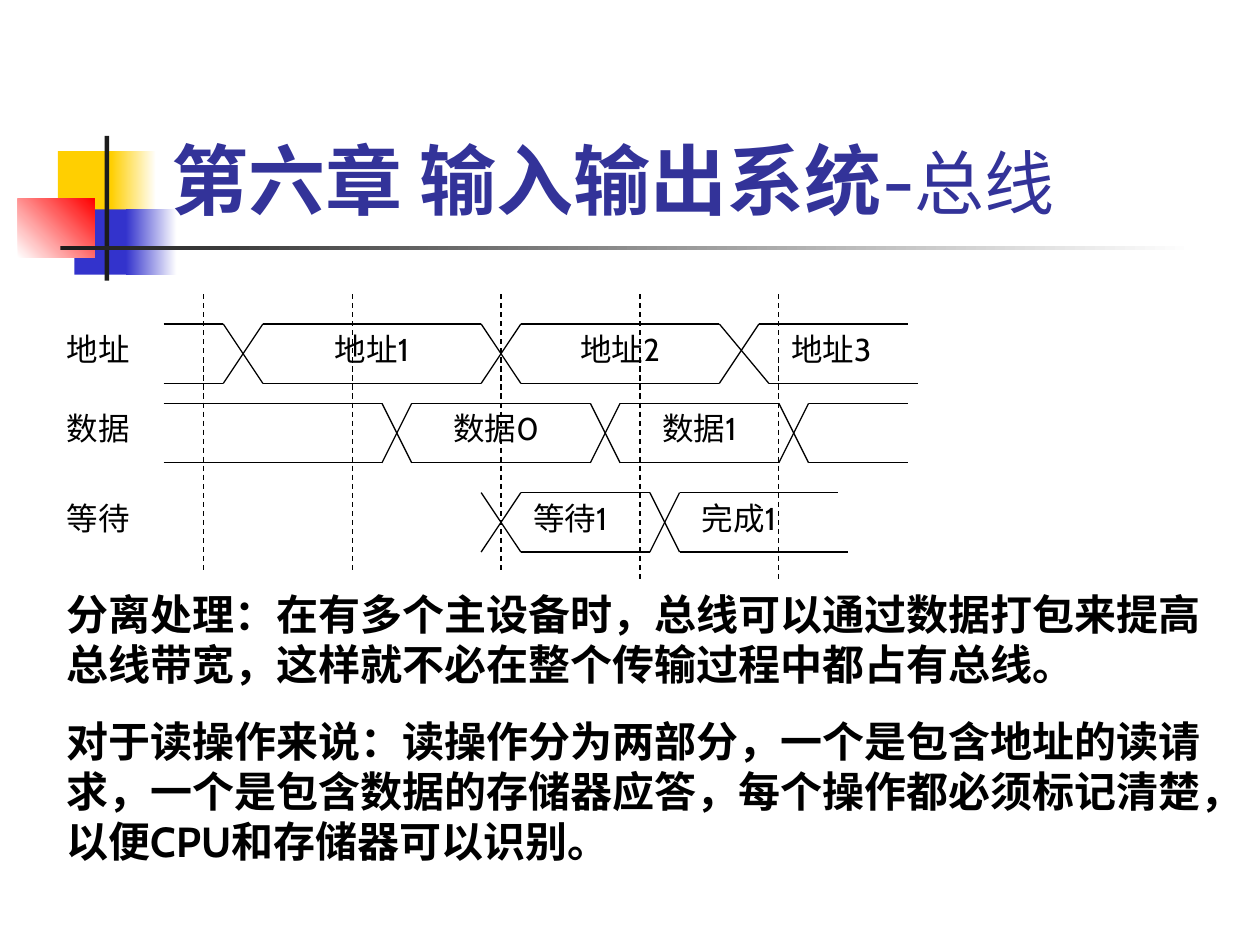
from dataclasses import dataclass

from lxml.etree import SubElement
from pptx import Presentation
from pptx.dml.color import RGBColor
from pptx.enum.dml import MSO_LINE_DASH_STYLE as Dash
from pptx.enum.shapes import MSO_CONNECTOR as Connector
from pptx.enum.shapes import MSO_SHAPE as Preset
from pptx.enum.text import MSO_ANCHOR as Anchor
from pptx.enum.text import MSO_AUTO_SIZE as AutoSize
from pptx.enum.text import PP_ALIGN as Align
from pptx.oxml.ns import qn
from pptx.util import Cm, Pt

FONT = "Cabin"
BLACK, WHITE, DARK = "000000", "FFFFFF", "1C1C1C"
YELLOW, BLUE, RED, TITLE_BLUE = "FFCF01", "3333CC", "FF0000", "333399"
SIGNAL_HEIGHT = 1.2
LABEL_HEIGHT = 1.02
NAME_LEFT = 1.1


@dataclass
class Block:
    left: float
    top: float
    width: float
    height: float
    color: str
    end_color: str = ""
    angle: int = 0


@dataclass
class Crossing:
    """Where both levels of a signal swap; the low level may settle later."""
    start: float
    end_high: float
    end_low: float


@dataclass
class Label:
    text: str
    left: float
    width: float
    align: Align = Align.LEFT


@dataclass
class Signal:
    top: float
    left: float
    crossings: list[Crossing]
    right_high: float
    right_low: float
    labels: list[Label]


BLOCKS = [
    Block(1.17, 3.05, 1.22, 1.32, YELLOW),
    Block(2.24, 3.05, 0.91, 1.32, YELLOW, WHITE),
    Block(1.5, 4.22, 1.17, 1.32, BLUE),
    Block(2.54, 4.22, 1.02, 1.32, BLUE, WHITE),
    Block(0.36, 4.01, 1.55, 1.18, WHITE, RED, 45),
    Block(2.11, 2.74, 0.09, 2.92, DARK),
    Block(1.22, 4.95, 22.86, 0.09, DARK, WHITE),
]

SIGNALS = [
    Signal(6.53, 3.3,
           [Crossing(4.5, 5.3, 5.3), Crossing(9.7, 10.5, 10.5), Crossing(14.5, 15.3, 15.5)],
           18.3, 18.5,
           [Label("地址", NAME_LEFT, 2.4), Label("地址1", 5.3, 4.4, Align.CENTER),
            Label("地址2", 10.7, 3.6, Align.CENTER), Label("地址3", 15.7, 2.6)]),
    Signal(8.13, 3.3,
           [Crossing(7.7, 8.3, 8.3), Crossing(11.9, 12.5, 12.5), Crossing(15.7, 16.3, 16.3)],
           18.3, 18.3,
           [Label("数据", NAME_LEFT, 2.4), Label("数据0", 8.5, 3, Align.CENTER),
            Label("数据1", 12.7, 2.8, Align.CENTER)]),
    Signal(9.93, 9.7,
           [Crossing(9.7, 10.5, 10.5), Crossing(13.1, 13.7, 13.7)],
           16.9, 17.1,
           [Label("等待", NAME_LEFT, 2.2), Label("等待1", 10.5, 2.6),
            Label("完成1", 13.9, 2.8)]),
]

CLOCK_TOP = 5.93
CLOCK_LINES = [(4.1, 11.53), (7.1, 11.53), (10.1, 11.53), (12.9, 11.73), (15.7, 11.73)]

EXPLANATION = [
    "分离处理：在有多个主设备时，总线可以通过数据打包来提高总线带宽，这样就不必在整个传输过程中都占有总线。",
    "对于读操作来说：读操作分为两部分，一个是包含地址的读请求，一个是包含数据的存储器应答，"
    "每个操作都必须标记清楚，以便CPU和存储器可以识别。",
]


def rgb(color: str) -> RGBColor:
    return RGBColor.from_string(color)


def style_paragraph(paragraph, size: int, color: str, align: Align, bold: bool = False) -> None:
    paragraph.alignment = align
    font = paragraph.font
    font.name, font.size, font.bold = FONT, Pt(size), bold
    font.color.rgb = rgb(color)
    defaults = paragraph._p.pPr.find(qn("a:defRPr"))
    SubElement(defaults, qn("a:ea")).set("typeface", FONT)


def draw_block(slide, block: Block) -> None:
    shape = slide.shapes.add_shape(Preset.RECTANGLE, Cm(block.left), Cm(block.top),
                                   Cm(block.width), Cm(block.height))
    shape.shadow.inherit = False
    shape.line.fill.background()
    if not block.end_color:
        shape.fill.solid()
        shape.fill.fore_color.rgb = rgb(block.color)
        return
    shape.fill.gradient()
    shape.fill.gradient_angle = block.angle
    for stop, color in zip(shape.fill.gradient_stops, (block.color, block.end_color)):
        stop.color.rgb = rgb(color)


def draw_line(slide, x1: float, y1: float, x2: float, y2: float, dashed: bool = False) -> None:
    line = slide.shapes.add_connector(Connector.STRAIGHT, Cm(x1), Cm(y1), Cm(x2), Cm(y2))
    line.line.color.rgb = rgb(BLACK)
    line.line.width = Pt(0.75)
    if dashed:
        line.line.dash_style = Dash.DASH
    SubElement(line._element.spPr, qn("a:effectLst"))


def draw_text(slide, texts: list[str], left: float, top: float, width: float, height: float,
              size: int, align: Align = Align.LEFT, bold: bool = False) -> None:
    box = slide.shapes.add_textbox(Cm(left), Cm(top), Cm(width), Cm(height))
    frame = box.text_frame
    frame.word_wrap = True
    frame.auto_size = AutoSize.SHAPE_TO_FIT_TEXT
    for index, text in enumerate(texts):
        paragraph = frame.add_paragraph() if index else frame.paragraphs[0]
        paragraph.text = text
        if index:
            paragraph.space_before = Pt(15)
        style_paragraph(paragraph, size, BLACK, align, bold)


def draw_signal(slide, signal: Signal) -> None:
    high, low = signal.top, signal.top + SIGNAL_HEIGHT
    high_x = low_x = signal.left
    for crossing in signal.crossings:
        if crossing.start > high_x:
            draw_line(slide, high_x, high, crossing.start, high)
            draw_line(slide, low_x, low, crossing.start, low)
        draw_line(slide, crossing.start, high, crossing.end_low, low)
        draw_line(slide, crossing.start, low, crossing.end_high, high)
        high_x, low_x = crossing.end_high, crossing.end_low
    draw_line(slide, high_x, high, signal.right_high, high)
    draw_line(slide, low_x, low, signal.right_low, low)
    for label in signal.labels:
        draw_text(slide, [label.text], label.left, signal.top, label.width, LABEL_HEIGHT,
                  18, label.align)


def fill_title(slide) -> None:
    title = slide.shapes.title
    title.left, title.top, title.width, title.height = Cm(3.2), Cm(2.59), Cm(19.02), Cm(2.08)
    frame = title.text_frame
    frame.auto_size = AutoSize.NONE
    frame.vertical_anchor = Anchor.BOTTOM
    frame.margin_right = Cm(0.5)
    paragraph = frame.paragraphs[0]
    style_paragraph(paragraph, 44, TITLE_BLUE, Align.LEFT)
    for text, size, bold in [("第六章 输入输出系统", 44, True), ("-", 44, False), ("总线", 40, False)]:
        run = paragraph.add_run()
        run.text = text
        run.font.size, run.font.bold = Pt(size), bold
    # Bring the title in front of the decoration
    slide.shapes._spTree.append(title._element)


def main() -> None:
    presentation = Presentation()
    presentation.slide_width, presentation.slide_height = Cm(25.4), Cm(19.05)
    slide = presentation.slides.add_slide(presentation.slide_layouts[5])
    for block in BLOCKS:
        draw_block(slide, block)
    fill_title(slide)
    for x, bottom in CLOCK_LINES:
        draw_line(slide, x, CLOCK_TOP, x, bottom, dashed=True)
    for signal in SIGNALS:
        draw_signal(slide, signal)
    draw_text(slide, EXPLANATION, NAME_LEFT, 11.73, 23.6, 5.87, 24, bold=True)
    presentation.save("out.pptx")


if __name__ == "__main__":
    main()
